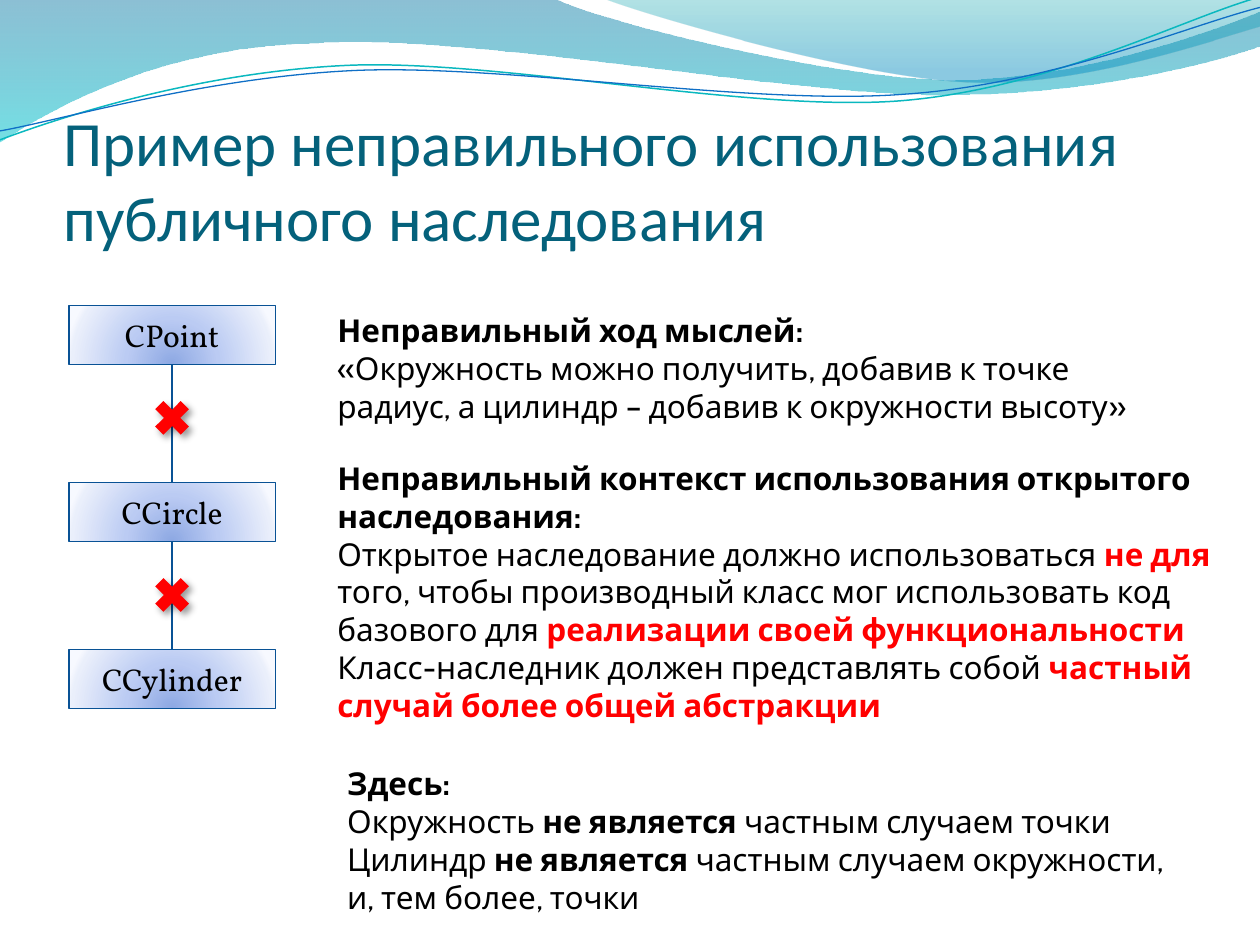
from pptx import Presentation
from pptx.dml.color import RGBColor
from pptx.enum.shapes import MSO_CONNECTOR, MSO_SHAPE
from pptx.enum.text import MSO_ANCHOR, MSO_AUTO_SIZE, PP_ALIGN
from pptx.oxml import parse_xml
from pptx.oxml.ns import nsdecls, qn
from pptx.util import Cm, Pt

COLORS = {
    "title": "04617B", "text": "000000", "red": "FF0000", "border": "095295",
    "teal": "0AB8BF", "blue": "0F6FC6",
}
DOWNWARD = '<a:lin ang="5400000" scaled="0"/>'
FROM_BOTTOM = ('<a:path path="circle"><a:fillToRect l="50000" t="130000" '
               'r="50000" b="-30000"/></a:path>')
# Gradient stops: position %, colour, opacity %
CLASS_STOPS = [(0, "8DA8E3", 100), (43, "BBCBF3", 100),
               (93, "EAEFFB", 100), (100, "F7F9FF", 100)]

# Each outline is a start point, then segments: one point is a line, three a curve.
BANDS = [
    ([(0, "0074A1", 45), (100, "00C6CF", 55)], (0, 0), [
        [(11.18, -0.03)],
        [(12.09, 0.43), (16.87, 1.6), (19.25, 1.6)],
        [(21.69, 1.6), (24.33, 0.66), (25.4, 0.23)],
        [(25.43, 0.91)],
        [(24.97, 1.12), (22.1, 1.93), (18.95, 1.91)],
        [(15.8, 1.91), (9.7, 0.71), (6.53, 0.86)],
        [(3.28, 0.91), (1.17, 2.11), (-0.03, 2.87)],
        [(0, 0)],
    ]),
    ([(0, "00A1A9", 30), (80, "008BBF", 45)], (12.17, -0.03), [
        [(12.93, 0.28), (17.32, 1.57), (19.53, 1.65)],
        [(21.74, 1.75), (24.41, 0.81), (25.4, 0.53)],
        [(25.4, 0)],
        [(12.17, -0.03)],
    ]),
]
STRAND_TILT = -2.7
STRANDS = [
    ("teal", 0.85, (-0.05, 2.22), [
        [(1.19, 1.82), (4.02, 1.04), (7.05, 1.05)],
        [(10.05, 1.07), (15.02, 2.37), (18.08, 2.29)],
        [(21.13, 2.2), (23.86, 0.91), (25.41, 0.55)],
    ]),
    ("blue", 0.75, (-0.04, 2.04), [
        [(1.16, 1.89), (4.17, 1.15), (7.2, 1.16)],
        [(10.25, 1.18), (15.13, 2.25), (18.19, 2.16)],
        [(21.21, 2.1), (23.93, 1.06), (25.45, 0.75)],
    ]),
]

# Run styles: colour, bold
STYLES = {"plain": ("text", False), "bold": ("text", True), "red": ("red", True)}
NOTES = [
    ((6.55, 6.15, 17.48, 2.57), [
        [("Неправильный ход мыслей:", "bold")],
        [("«Окружность можно получить, добавив к точке радиус, "
          "а цилиндр – добавив к окружности высоту»", "plain")],
    ]),
    ((6.55, 9.13, 18.26, 5.64), [
        [("Неправильный контекст использования открытого наследования:", "bold")],
        [("Открытое наследование должно использоваться ", "plain"),
         ("не для ", "red"),
         ("того, чтобы производный класс мог использовать код базового для ", "plain"),
         ("реализации своей функциональности", "red")],
        [("Класс-наследник должен представлять собой ", "plain"),
         ("частный случай более общей абстракции", "red")],
    ]),
    ((6.75, 15.28, 17.48, 3.33), [
        [("Здесь:", "bold")],
        [("Окружность ", "plain"), ("не является ", "bold"),
         ("частным случаем точки", "plain")],
        [("Цилиндр ", "plain"), ("не является", "bold"),
         (" частным случаем окружности, и, тем более, точки", "plain")],
    ]),
]


def color(name):
    return RGBColor.from_string(COLORS[name])


def add_span(para, text, font, size, color_name, bold=False):
    span = para.add_run()
    span.text = text
    span.font.name, span.font.size, span.font.bold = font, Pt(size), bold
    span.font.color.rgb = color(color_name)


def fill_gradient(shape, stops, direction):
    shape.fill.solid()
    marks = "".join(
        f'<a:gs pos="{position * 1000}"><a:srgbClr val="{tint}">'
        f'<a:alpha val="{opacity * 1000}"/></a:srgbClr></a:gs>'
        for position, tint, opacity in stops)
    properties = shape.element.spPr
    properties.replace(properties.find(qn("a:solidFill")), parse_xml(
        f'<a:gradFill {nsdecls("a")} rotWithShape="1">'
        f'<a:gsLst>{marks}</a:gsLst>{direction}</a:gradFill>'))


def add_outline(page, left, top, start, segments, close):
    """Build the outline through all its points, then bend each triple into a curve."""
    points = [(Cm(left + x), Cm(top + y))
              for x, y in [start, *(point for segment in segments for point in segment)]]
    builder = page.shapes.build_freeform(*points[0], scale=1.0)
    builder.add_line_segments(points[1:], close=close)
    shape = builder.convert_to_shape()
    shape.shadow.inherit = False
    lines = iter(list(shape.element.iter(qn("a:lnTo"))))
    for segment in segments:
        pieces = [next(lines) for _ in segment]
        if len(pieces) == 3:
            curve = parse_xml(f'<a:cubicBezTo {nsdecls("a")}/>')
            pieces[0].addprevious(curve)
            for piece in pieces:
                curve.append(piece[0])
                piece.getparent().remove(piece)
    return shape


def add_waves(page, left, top):
    for stops, start, segments in BANDS:
        band = add_outline(page, left, top, start, segments, close=True)
        fill_gradient(band, stops, DOWNWARD)
        band.line.fill.background()
    for name, width, start, segments in STRANDS:
        strand = add_outline(page, left, top, start, segments, close=False)
        strand.rotation = STRAND_TILT
        strand.fill.background()
        strand.line.color.rgb = color(name)
        strand.line.width = Pt(width)


def add_title(page, left, top, width, height):
    box = page.shapes.add_textbox(Cm(left), Cm(top), Cm(width), Cm(height))
    frame = box.text_frame
    frame.word_wrap = True
    frame.vertical_anchor = MSO_ANCHOR.BOTTOM
    frame.margin_left = frame.margin_right = frame.margin_bottom = 0
    add_span(frame.paragraphs[0], "Пример неправильного использования публичного наследования",
             "Calibri", 36, "title")


def add_class_box(page, name, left, top, width, height):
    box = page.shapes.add_shape(MSO_SHAPE.RECTANGLE, Cm(left), Cm(top), Cm(width), Cm(height))
    box.shadow.inherit = False
    fill_gradient(box, CLASS_STOPS, FROM_BOTTOM)
    box.line.color.rgb = color("border")
    box.line.width = Pt(0.75)
    box.text_frame.vertical_anchor = MSO_ANCHOR.MIDDLE
    para = box.text_frame.paragraphs[0]
    para.alignment = PP_ALIGN.CENTER
    add_span(para, name, "Vollkorn", 18, "text")


def add_link(page, x, top, bottom):
    link = page.shapes.add_connector(MSO_CONNECTOR.STRAIGHT, Cm(x), Cm(top), Cm(x), Cm(bottom))
    link.line.color.rgb = color("border")
    link.line.width = Pt(0.75)
    link.element.spPr.append(parse_xml(f'<a:effectLst {nsdecls("a")}/>'))


def add_cross(page, center, top, size=0.99):
    cross = page.shapes.add_shape(MSO_SHAPE.MATH_MULTIPLY, Cm(center - size / 2), Cm(top),
                                  Cm(size), Cm(size))
    cross.fill.solid()
    cross.fill.fore_color.rgb = color("red")
    cross.line.fill.background()
    cross.shadow.inherit = False
    cross.element.spPr.find(qn("a:effectLst")).append(parse_xml(
        f'<a:outerShdw {nsdecls("a")} blurRad="{Pt(4)}" dist="{Pt(3)}" dir="2700000" '
        'algn="tl" rotWithShape="0"><a:srgbClr val="000000"><a:alpha val="40000"/>'
        '</a:srgbClr></a:outerShdw>'))


def add_hierarchy(page, left, top, width, height=1.19):
    """Stack the classes, joining each pair by a crossed-out link."""
    tops = [top, top + 3.57, top + 6.94]
    center = left + width / 2
    for name, box_top in zip(("CPoint", "CCircle", "CCylinder"), tops):
        add_class_box(page, name, left, box_top, width, height)
    for upper, lower in zip(tops, tops[1:]):
        add_link(page, center, upper + height, lower)
        add_cross(page, center, upper + height + 0.58)


def add_note(page, left, top, width, height, lines):
    box = page.shapes.add_textbox(Cm(left), Cm(top), Cm(width), Cm(height))
    frame = box.text_frame
    frame.word_wrap = True
    frame.auto_size = MSO_AUTO_SIZE.SHAPE_TO_FIT_TEXT
    for index, line in enumerate(lines):
        para = frame.add_paragraph() if index else frame.paragraphs[0]
        for text, style in line:
            add_span(para, text, "Cabin", 18, *STYLES[style])


def main():
    deck = Presentation()
    deck.slide_width, deck.slide_height = Cm(25.4), Cm(19.05)
    page = deck.slides.add_slide(deck.slide_layouts[6])
    add_waves(page, 0, 0)
    add_title(page, 1.28, 1.95, 23.06, 3.18)
    add_hierarchy(page, 1.39, 6.16, 4.16)
    for area, lines in NOTES:
        add_note(page, *area, lines)
    deck.save("out.pptx")


if __name__ == "__main__":
    main()
